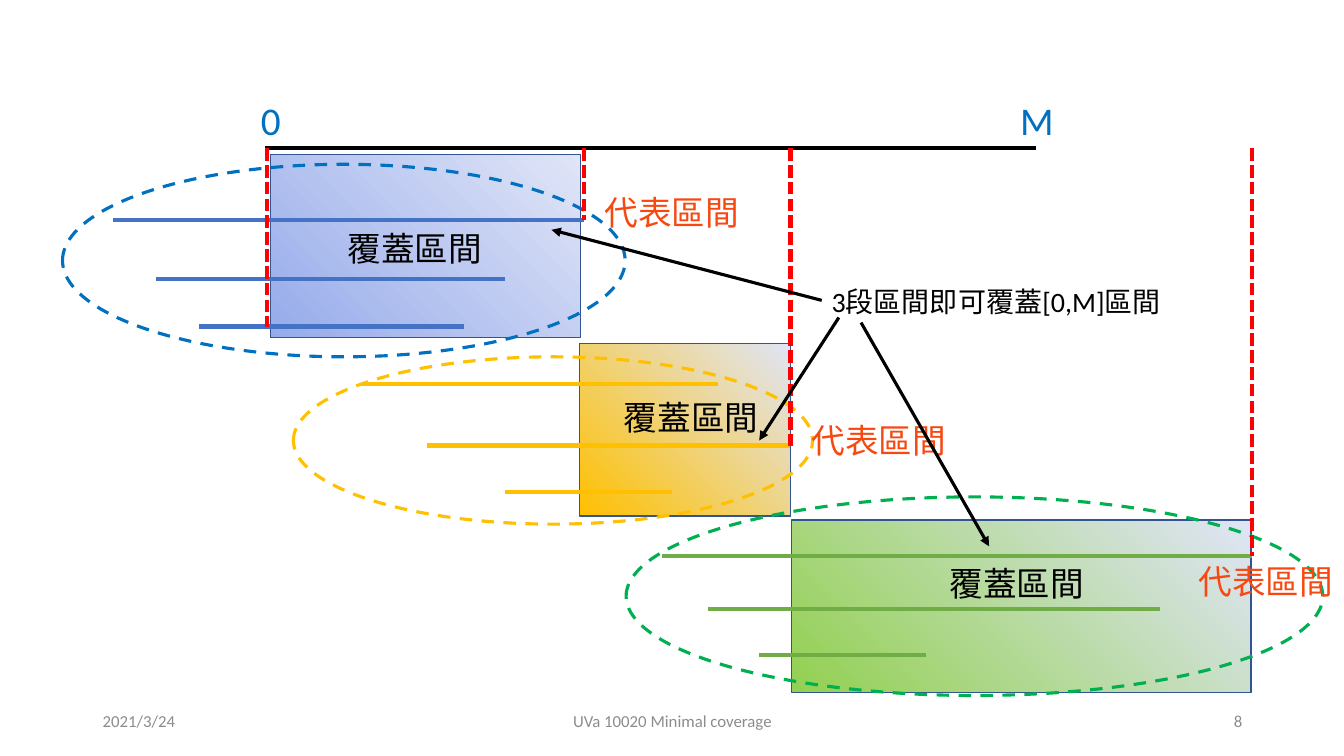
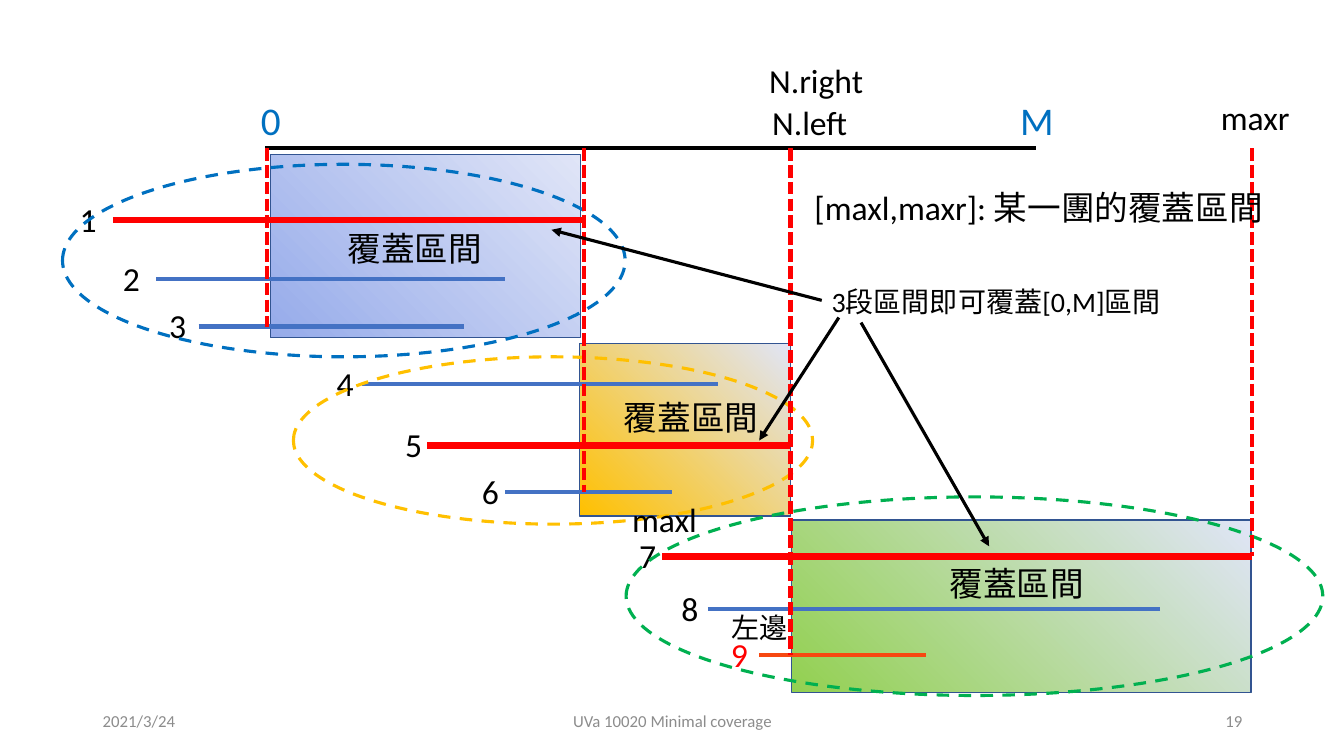
from dataclasses import dataclass

from pptx import Presentation
from pptx.dml.color import RGBColor
from pptx.enum.dml import MSO_LINE
from pptx.enum.shapes import MSO_CONNECTOR, MSO_SHAPE
from pptx.enum.text import MSO_ANCHOR, PP_ALIGN
from pptx.oxml.ns import qn
from pptx.util import Inches, Pt
from lxml.etree import SubElement

BLACK = RGBColor(0x00, 0x00, 0x00)
RED = RGBColor(0xFF, 0x00, 0x00)
ORANGE = RGBColor(0xF7, 0x48, 0x11)
BLUE = RGBColor(0x00, 0x70, 0xC0)
STEEL = RGBColor(0x44, 0x72, 0xC4)
NAVY = RGBColor(0x32, 0x54, 0x91)
SKY = RGBColor(0x96, 0xAB, 0xEA)
PALE = RGBColor(0xE0, 0xE5, 0xF7)
GOLD = RGBColor(0xFF, 0xC0, 0x00)
LIME = RGBColor(0x92, 0xD0, 0x50)
LEAF = RGBColor(0x70, 0xAD, 0x47)
GREEN = RGBColor(0x00, 0xB0, 0x50)
GRAY = RGBColor(0x8C, 0x8C, 0x8C)
LATIN, CJK = "Calibri", "Noto Sans CJK SC"

# The grid has one column and one row per inch.
COLS, ROWS = 13.33, 7.5
AXIS = 1.47


@dataclass
class Group:
    """Intervals of one cover; all but box are offsets from the box corner."""
    box: tuple
    oval: tuple
    bars: tuple   # start, end, row, gap to the number
    key: int      # index of the representative bar
    cover: tuple
    rep: tuple
    tint: RGBColor
    ring: RGBColor
    bar: RGBColor


GROUPS = (
    Group((2.68, 1.53, 3.08, 1.82), (-2.06, 0.1, 5.58, 1.91),
          ((-1.56, 3.11, 0.65, 0.43), (-1.13, 2.33, 1.24, 0.43),
           (-0.71, 1.92, 1.71, 0.39)),
          0, (0.67, 0.68), (3.22, 0.32), SKY, BLUE, STEEL),
    Group((5.75, 3.41, 2.09, 1.71), (-2.84, 0.13, 5.15, 1.66),
          ((-2.16, 1.37, 0.4, 0.35), (-1.51, 2.09, 1.01, 0.32),
           (-0.74, 0.92, 1.47, 0.33)),
          1, (0.34, 0.48), (2.2, 0.71), GOLD, GOLD, GOLD),
    Group((7.85, 5.16, 4.56, 1.71), (-1.64, -0.23, 6.91, 1.97),
          ((-1.28, 4.57, 0.36, 0.33), (-0.83, 3.66, 0.88, 0.36),
           (-0.32, 1.33, 1.34, 0.38)),
          0, (1.47, 0.38), (3.94, 0.36), LIME, GREEN, LEAF),
)


def grid(*cells):
    return [Inches(cell) for cell in cells]


def add_text(slide, box, text, size=24, color=BLACK, align=PP_ALIGN.LEFT,
             anchor=MSO_ANCHOR.TOP):
    frame = slide.shapes.add_textbox(*grid(*box)).text_frame
    frame.word_wrap = True
    frame.vertical_anchor = anchor
    para = frame.paragraphs[0]
    para.text = text
    para.alignment = align
    font = para.font
    font.size = Pt(size)
    font.color.rgb = color
    font.name = LATIN
    props = para._p.pPr.find(qn("a:defRPr"))
    SubElement(props, qn("a:ea"), typeface=CJK)


def add_line(slide, start, end, color, width=3, dash=None, arrow=False):
    line = slide.shapes.add_connector(
        MSO_CONNECTOR.STRAIGHT, *grid(*start, *end))
    line.line.color.rgb = color
    line.line.width = Pt(width)
    if dash:
        line.line.dash_style = dash
    if arrow:
        SubElement(line.line._get_or_add_ln(), qn("a:tailEnd"),
                   type="triangle")
    SubElement(line._element.spPr, qn("a:effectLst"))


def add_shape(slide, kind, box, color, width):
    shape = slide.shapes.add_shape(kind, *grid(*box))
    shape.shadow.inherit = False
    shape.fill.background()
    shape.line.color.rgb = color
    shape.line.width = Pt(width)
    return shape


def add_cover(slide, box, tint):
    fill = add_shape(slide, MSO_SHAPE.RECTANGLE, box, NAVY, 1).fill
    fill.gradient()
    fill.gradient_angle = 45
    for stop, color in zip(fill.gradient_stops, (tint, PALE)):
        stop.color.rgb = color


def add_group(slide, group, first=None):
    """Draw a group; given a first number, number its bars and mark the key."""
    left, top, width, height = group.box
    add_cover(slide, group.box, group.tint)
    for i, (start, end, row, gap) in enumerate(group.bars):
        color, weight, ink = group.bar, 3, BLACK
        if first:
            color = STEEL
            if i == group.key:
                color, weight = RED, 4.5
            if first + i == 9:
                color, ink = ORANGE, RED
            add_text(slide, (left + start - gap, top + row - 0.26, 0.42, 0.5),
                     str(first + i), color=ink)
        add_line(slide, (left + start, top + row), (left + end, top + row),
                 color, weight)
    x, y, wide, high = group.oval
    ring = add_shape(slide, MSO_SHAPE.OVAL, (left + x, top + y, wide, high),
                     group.ring, 2.25)
    ring.line.dash_style = MSO_LINE.DASH
    x, y = group.cover
    add_text(slide, (left + x, top + y, 1.61, 0.5), "覆蓋區間")
    if not first:
        x, y = group.rep
        add_text(slide, (left + x, top + y, 1.67, 0.5), "代表區間",
                 color=ORANGE)


def add_axis(slide, drops):
    add_line(slide, (2.63, AXIS), (10.28, AXIS), BLACK)
    for x, text in ((2.49, "0"), (10.02, "M")):
        add_text(slide, (x, 0.91, 0.43, 0.57), text, 28, BLUE)
    for x, end in zip((2.65, 5.79, 7.84, 12.42), drops):
        add_line(slide, (x, AXIS), (x, end), RED,
                 dash=MSO_LINE.SQUARE_DOT)


def add_note(slide):
    add_text(slide, (8.15, 2.77, 3.57, 0.44), "3段區間即可覆蓋[0,M]區間", 20)
    for start, end in (((8.15, 2.98), (5.47, 2.28)),
                       ((8.32, 3.15), (7.53, 4.37)),
                       ((8.54, 3.2), (9.81, 5.42))):
        add_line(slide, start, end, BLACK, 2.25, arrow=True)


def add_foot(slide, number):
    for left, width, text, align in (
            (0.92, 3, "2021/3/24", PP_ALIGN.LEFT),
            (4.42, 4.5, "UVa 10020 Minimal coverage", PP_ALIGN.CENTER),
            (9.42, 3, str(number), PP_ALIGN.RIGHT)):
        add_text(slide, (left, 6.95, width, 0.4), text, 12, GRAY, align,
                 MSO_ANCHOR.MIDDLE)


def add_slide(deck, number, drops, numbered=False):
    slide = deck.slides.add_slide(deck.slide_layouts[6])
    for i, group in enumerate(GROUPS):
        add_group(slide, group, 3 * i + 1 if numbered else None)
    add_axis(slide, drops)
    add_note(slide)
    add_foot(slide, number)
    return slide


def add_names(slide):
    """Name the variables of the numbered diagram."""
    for box, text, size in (
            ((7.56, 0.96, 1.1, 0.5), "N.left", 24),
            ((7.53, 0.55, 1.31, 0.5), "N.right", 24),
            ((12.01, 0.91, 1.29, 0.5), "maxr", 24),
            ((6.17, 4.9, 1.18, 0.5), "maxl", 24),
            ((7.16, 6.01, 0.9, 0.44), "左邊", 20),
            ((7.98, 1.81, 5.13, 0.5), "[maxl,maxr]: 某一團的覆蓋區間", 24)):
        add_text(slide, box, text, size)


def main():
    deck = Presentation()
    deck.slide_width, deck.slide_height = grid(COLS, ROWS)
    add_slide(deck, 8, (3.24, 2.18, 4.42, 5.52))
    add_names(add_slide(deck, 19, (3.24, 4.88, 6.5, 5.52), numbered=True))
    deck.save("out.pptx")


if __name__ == "__main__":
    main()
